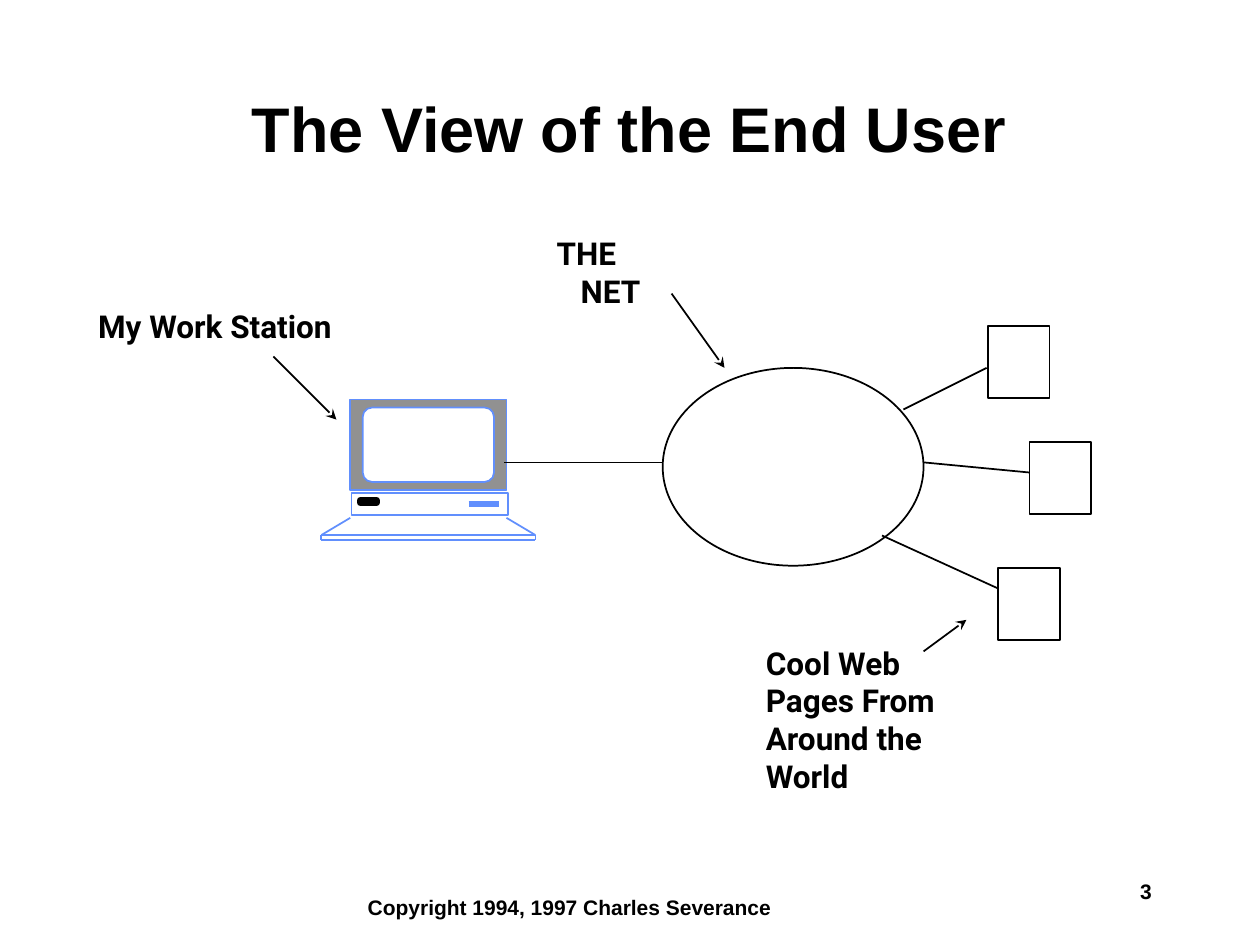
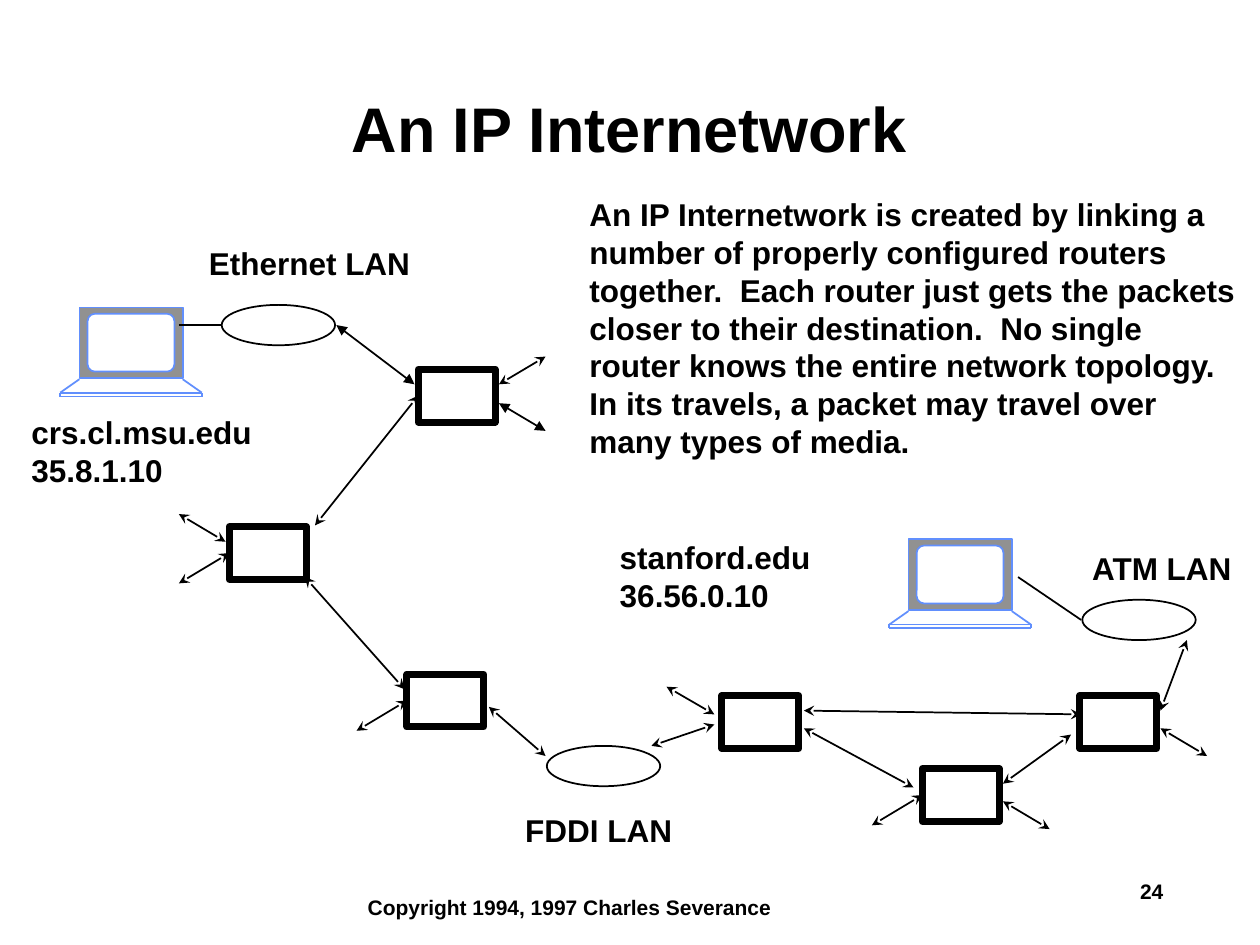
"""Build two slides on the end user's view and an IP internetwork."""
from math import dist
from lxml import etree
from pptx import Presentation
from pptx.dml.color import RGBColor
from pptx.enum.shapes import MSO_CONNECTOR, MSO_SHAPE
from pptx.enum.text import MSO_ANCHOR, MSO_AUTO_SIZE, PP_ALIGN
from pptx.oxml.ns import qn
from pptx.util import Cm, Pt

RECT, ROUND, OVAL = MSO_SHAPE.RECTANGLE, MSO_SHAPE.ROUNDED_RECTANGLE, MSO_SHAPE.OVAL
STRAIGHT = MSO_CONNECTOR.STRAIGHT
MIDDLE, CENTER = MSO_ANCHOR.MIDDLE, PP_ALIGN.CENTER
FIT, FIXED = MSO_AUTO_SIZE.SHAPE_TO_FIT_TEXT, MSO_AUTO_SIZE.NONE
TITLE_ONLY = 5
INCH = 2.54
NEAR = 0.04
BLACK, WHITE, GREY, BLUE = "000000", "FFFFFF", "919191", "618FFD"
PLAIN = (None, None)
TIP = (None, "stealth")
BOTH = ("stealth", "stealth")
SOLID = ("triangle", "triangle")


def color(code):
    return RGBColor.from_string(code)


def cms(*values):
    return [Cm(value * INCH) for value in values]


def apply(target, style):
    for name, value in style.items():
        setattr(target, name, value)


class Deck:
    def __init__(self):
        self.file = Presentation()
        apply(self.file, dict(zip(("slide_width", "slide_height"), cms(10, 7.5))))

    def page(self, title, number, font="Arial"):
        self.slide = self.file.slides.add_slide(self.file.slide_layouts[TITLE_ONLY])
        self.shapes = self.slide.shapes
        self.sides = []
        self.font = "Arial"
        self.text(2.82, 7.05, 3.41, 0.3, ["Copyright 1994, 1997 Charles Severance"], 12)
        self.text(8.95, 6.92, 1, 0.3, [number], 12)
        head = self.shapes.title
        place = cms(1.08, 0.67, 7.83, 0.75)
        apply(head, dict(zip(("left", "top", "width", "height"), place)))
        apply(head.text_frame, {"vertical_anchor": MIDDLE, "auto_size": FIXED, "word_wrap": True})
        self.put(head.text_frame, [title], 36, {"alignment": CENTER, "line_spacing": 0.9})
        self.font = font

    def put(self, frame, lines, size, style):
        for index, line in enumerate(lines):
            para = frame.add_paragraph() if index else frame.paragraphs[0]
            para.text = line
            apply(para, style)
            apply(para.font, {"name": self.font, "size": Pt(size), "bold": True})
            para.font.color.rgb = color(BLACK)

    def text(self, x, y, w, h, lines, size=18, wrap=False):
        frame = self.shapes.add_textbox(*cms(x, y, w, h)).text_frame
        apply(frame, {"word_wrap": wrap, "auto_size": FIT})
        self.put(frame, lines, size, {})
        return frame

    def shape(self, kind, x, y, w, h, fill=WHITE, ink=BLACK, width=1):
        item = self.shapes.add_shape(kind, *cms(x, y, w, h))
        item.shadow.inherit = False
        if fill:
            item.fill.solid()
            item.fill.fore_color.rgb = color(fill)
        else:
            item.fill.background()
        item.line.color.rgb = color(ink)
        item.line.width = Pt(width)
        return item

    def box(self, x, y, w, h, width=1):
        item = self.shape(RECT, x, y, w, h, width=width)
        mids = ((x + w / 2, y), (x, y + h / 2), (x + w / 2, y + h), (x + w, y + h / 2))
        self.sides += [(item, side, mid) for side, mid in enumerate(mids)]

    def line(self, start, end, ends=PLAIN, ink=BLACK, width=1):
        link = self.shapes.add_connector(STRAIGHT, *cms(*start, *end))
        link.line.color.rgb = color(ink)
        link.line.width = Pt(width)
        props = link.element.spPr
        for tag, kind in zip(("a:headEnd", "a:tailEnd"), ends):
            if kind:
                etree.SubElement(props.find(qn("a:ln")), qn(tag)).set("type", kind)
        etree.SubElement(props, qn("a:effectLst"))
        for item, side, mid in self.sides:
            if dist(start, mid) < NEAR:
                link.begin_connect(item, side)
            if dist(end, mid) < NEAR:
                link.end_connect(item, side)

    def lines(self, rows, ends=PLAIN):
        for x1, y1, x2, y2 in rows:
            self.line((x1, y1), (x2, y2), ends)

    def station(self, x, y, w, h, case=0):
        self.shapes = self.slide.shapes.add_group_shape().shapes
        self.shape(RECT, x, y, w, h, GREY, BLUE)
        screen = self.shape(ROUND, x + 0.08 * w, y + 0.09 * h, 0.84 * w, 0.82 * h, WHITE, BLUE)
        screen.adjustments[0] = 0.125
        top = y + h + 0.01 + case
        edge, base = top + 0.19 * h, top + 0.245 * h
        left, right = x - 0.185 * w, x + 1.185 * w
        rim = [(x, top), (left, edge), (left, base), (right, base), (right, edge), (x + w, top)]
        for start, end in [*zip(rim, rim[1:]), (rim[1], rim[4])]:
            self.line(start, end, ink=BLUE)
        if case:
            self.shape(RECT, x + 0.01, y + h + 0.02, w, 0.18, None, BLUE)
            self.line((x + 0.94, y + 0.83), (x + 1.18, y + 0.83), ink=BLUE, width=4)
            self.shape(RECT, x + 0.08, y + 0.8, 0.13, 0.02, BLACK, BLACK, 4)
        self.shapes = self.slide.shapes


def user(deck):
    deck.page("The View of the End User", "3", "Roboto")
    deck.station(2.78, 3.17, 1.24, 0.72, case=0.21)
    deck.shape(OVAL, 5.26, 2.92, 2.07, 1.57)
    for x, y in ((7.84, 2.59), (8.17, 3.51), (7.92, 4.51)):
        deck.box(x, y, 0.49, 0.57)
    deck.lines([(4, 3.67, 5.25, 3.67), (7, 4.25, 7.92, 4.67),
                (7.33, 3.67, 8.17, 3.75), (7.83, 2.92, 7.17, 3.25)])
    net = deck.text(4.32, 1.81, 0.89, 0.7, ["THE", "NET"])
    props = net.paragraphs[1]._p.get_or_add_pPr()
    props.set("marL", str(Cm(0.48)))
    props.set("indent", "0")
    deck.text(5.98, 5.06, 1.66, 1.3, ["Cool Web", "Pages From", "Around the", "World"])
    deck.text(0.68, 2.39, 2.28, 0.4, ["My Work Station"])
    deck.lines([(2.17, 2.83, 2.67, 3.33), (5.33, 2.33, 5.75, 2.92),
                (7.33, 5.17, 7.67, 4.92)], TIP)


def network(deck):
    deck.page("An IP Internetwork", "24")
    for x, y in ((3.32, 2.93), (1.82, 4.18), (3.23, 5.35), (5.73, 5.52), (7.32, 6.1), (8.57, 5.52)):
        deck.box(x, y, 0.61, 0.42, 4)
    for x, y in ((0.63, 2.44), (7.21, 4.28)):
        deck.station(x, y, 0.82, 0.56)
    for x, y in ((1.76, 2.42), (4.34, 5.92), (8.59, 4.76)):
        deck.shape(OVAL, x, y, 0.9, 0.32)
    deck.lines([(1.42, 2.58, 1.75, 2.58), (8.58, 4.92, 8.08, 4.58)])
    deck.lines([(2.67, 2.58, 3.29, 3.05), (3.96, 3.2, 4.33, 3.42)], SOLID)
    deck.lines([
        (3.96, 3.05, 4.33, 2.83), (2.5, 4.17, 3.29, 3.16),
        (1.42, 4.08, 1.79, 4.3), (1.42, 4.63, 1.79, 4.41),
        (2.42, 4.58, 3.21, 5.47), (3.88, 5.61, 4.33, 6),
        (2.83, 5.8, 3.21, 5.58), (6.38, 5.78, 7.25, 6.25),
        (6.38, 5.64, 8.58, 5.67), (5.17, 5.92, 5.67, 5.75),
        (7.96, 6.36, 8.33, 6.58), (7.96, 6.22, 8.5, 5.83),
        (6.92, 6.55, 7.29, 6.33), (9.21, 5.78, 9.58, 6),
        (9.21, 5.64, 9.42, 5.08), (5.29, 5.45, 5.67, 5.67),
    ], BOTH)
    deck.text(1.56, 1.89, 1.8, 0.4, ["Ethernet LAN"])
    deck.text(4.07, 6.39, 1.37, 0.4, ["FDDI LAN"])
    deck.text(8.57, 4.31, 1.33, 0.4, ["ATM LAN"])
    deck.text(0.15, 3.23, 1.95, 0.7, ["crs.cl.msu.edu", "35.8.1.10"])
    deck.text(4.82, 4.22, 1.79, 0.7, ["stanford.edu", "36.56.0.10"])
    deck.text(4.58, 1.5, 5.33, 2.2, [
        "An IP Internetwork is created by linking a number of properly configured routers "
        "together.  Each router just gets the packets closer to their destination.  No single "
        "router knows the entire network topology.  In its travels, a packet may travel over "
        "many types of media."], wrap=True)


def main():
    deck = Deck()
    user(deck)
    network(deck)
    deck.file.save("out.pptx")


if __name__ == "__main__":
    main()
